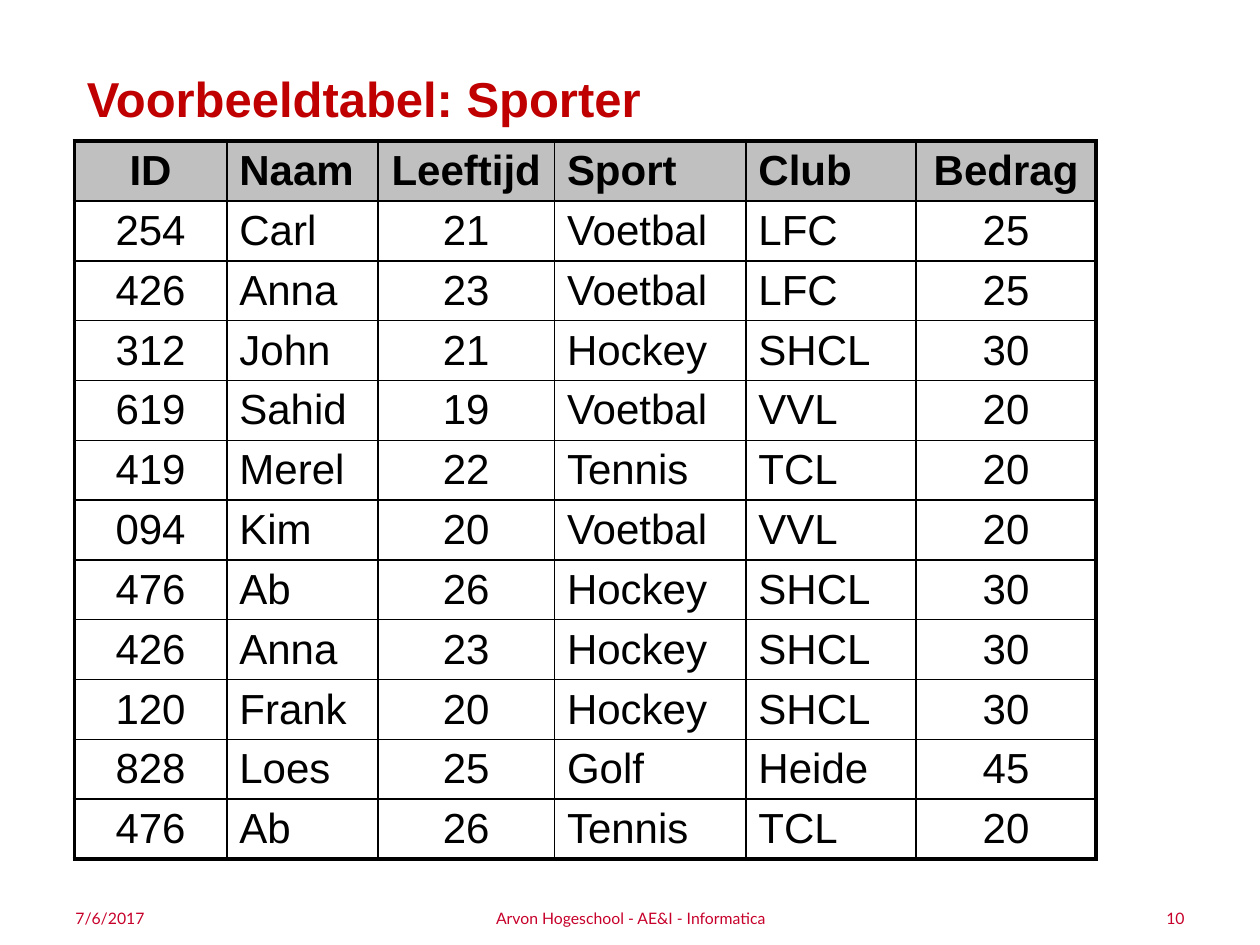
from dataclasses import dataclass

from lxml.etree import SubElement
from pptx import Presentation
from pptx.dml.color import RGBColor
from pptx.enum.text import MSO_ANCHOR, PP_ALIGN
from pptx.oxml.ns import qn
from pptx.util import Inches, Pt


@dataclass(frozen=True)
class Theme:
    title_color: str = "C00000"
    text_color: str = "000000"
    header_fill: str = "C0C0C0"
    footer_color: str = "C7002B"
    font: str = "Arial"
    footer_font: str = "Lato"
    title_size: float = 28
    table_size: float = 24
    footer_size: float = 9
    outer_line: float = 2.25
    inner_line: float = 1


theme = Theme()
LEFT, CENTER, RIGHT = PP_ALIGN.LEFT, PP_ALIGN.CENTER, PP_ALIGN.RIGHT


def write(frame, text, size=theme.table_size, font=theme.font,
          color=theme.text_color, bold=False, align=LEFT):
    frame.word_wrap = True
    paragraph = frame.paragraphs[0]
    paragraph.alignment = align
    run = paragraph.add_run()
    run.text = text
    run.font.size = Pt(size)
    run.font.name = font
    run.font.bold = bold
    run.font.color.rgb = RGBColor.from_string(color)


def draw_border(cell, side, width):
    line = SubElement(cell._tc.get_or_add_tcPr(), qn(f"a:ln{side}"), w=str(Pt(width)))
    fill = SubElement(line, qn("a:solidFill"))
    SubElement(fill, qn("a:srgbClr"), val=theme.text_color)


presentation = Presentation()
presentation.slide_width = Inches(10)
presentation.slide_height = Inches(7.5)
slide = presentation.slides.add_slide(presentation.slide_layouts[5])

# Title
left_edge = Inches(0.59)
title = slide.shapes.title
title.left, title.top = left_edge, Inches(0.44)
title.width, title.height = Inches(8.03), Inches(0.84)
title.text_frame.vertical_anchor = MSO_ANCHOR.TOP
title.text_frame.margin_top = Inches(0.1)
write(title.text_frame, "Voorbeeldtabel: Sporter", size=theme.title_size,
      color=theme.title_color, bold=True)

# Table content
columns = [  # heading, width in inches, alignment
    ("ID", 1.21, CENTER),
    ("Naam", 1.2, LEFT),
    ("Leeftijd", 1.4, CENTER),
    ("Sport", 1.52, LEFT),
    ("Club", 1.35, LEFT),
    ("Bedrag", 1.43, CENTER),
]
athletes = [
    ("254", "Carl", "21", "Voetbal", "LFC", "25"),
    ("426", "Anna", "23", "Voetbal", "LFC", "25"),
    ("312", "John", "21", "Hockey", "SHCL", "30"),
    ("619", "Sahid", "19", "Voetbal", "VVL", "20"),
    ("419", "Merel", "22", "Tennis", "TCL", "20"),
    ("094", "Kim", "20", "Voetbal", "VVL", "20"),
    ("476", "Ab", "26", "Hockey", "SHCL", "30"),
    ("426", "Anna", "23", "Hockey", "SHCL", "30"),
    ("120", "Frank", "20", "Hockey", "SHCL", "30"),
    ("828", "Loes", "25", "Golf", "Heide", "45"),
    ("476", "Ab", "26", "Tennis", "TCL", "20"),
]
rows = [[heading for heading, _, _ in columns], *athletes]
last_row, last_column = len(rows) - 1, len(columns) - 1

# Table grid
table_width = Inches(sum(width for _, width, _ in columns))
table = slide.shapes.add_table(len(rows), len(columns), left_edge, Inches(1.12),
                               table_width, Inches(5.7)).table
table.horz_banding = False
for column, (_, width, _) in zip(table.columns, columns):
    column.width = Inches(width)

# Table cells: heavy outer frame, thin inner lines, grey heading row
for row_index, row in enumerate(rows):
    for column_index, text in enumerate(row):
        cell = table.cell(row_index, column_index)
        is_heading = row_index == 0
        on_frame = {
            "L": column_index == 0,
            "R": column_index == last_column,
            "T": is_heading,
            "B": row_index == last_row,
        }
        for side, is_outer in on_frame.items():
            draw_border(cell, side, theme.outer_line if is_outer else theme.inner_line)
        if is_heading:
            cell.fill.solid()
            cell.fill.fore_color.rgb = RGBColor.from_string(theme.header_fill)
        else:
            cell.fill.background()
        cell.vertical_anchor = MSO_ANCHOR.MIDDLE
        cell.margin_top = cell.margin_bottom = Inches(0.04)
        write(cell.text_frame, text, bold=is_heading, align=columns[column_index][2])

# Footer: date, organisation, slide number
footers = [  # text, left and width in inches, alignment
    ("7/6/2017", 0.5, 2.33, LEFT),
    ("Arvon Hogeschool - AE&I - Informatica", 3.42, 3.17, CENTER),
    ("10", 7.17, 2.33, RIGHT),
]
for text, left, width, align in footers:
    box = slide.shapes.add_textbox(Inches(left), Inches(7.17), Inches(width), Inches(0.24))
    box.text_frame.vertical_anchor = MSO_ANCHOR.MIDDLE
    write(box.text_frame, text, size=theme.footer_size, font=theme.footer_font,
          color=theme.footer_color, align=align)

presentation.save("out.pptx")
